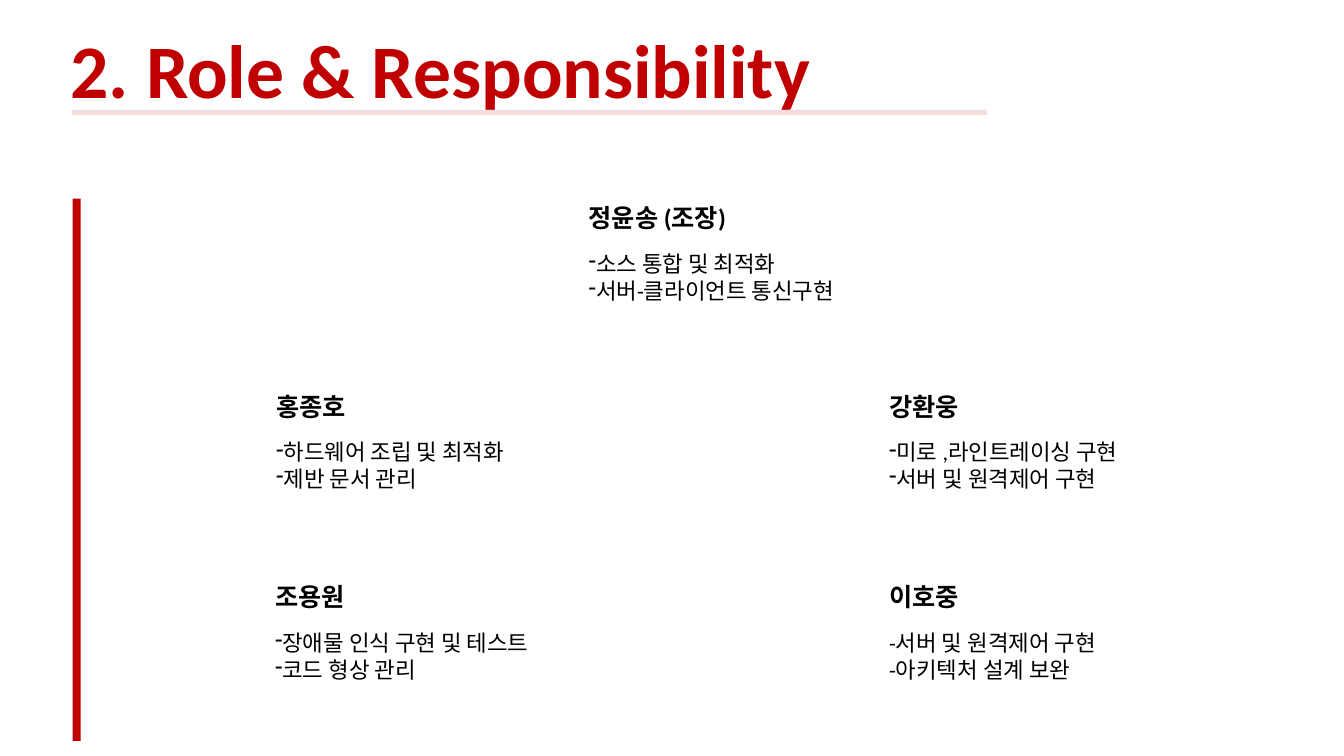
from lxml.etree import SubElement
from pptx import Presentation
from pptx.dml.color import RGBColor
from pptx.enum.shapes import MSO_SHAPE
from pptx.enum.text import MSO_ANCHOR, MSO_AUTO_SIZE, PP_ALIGN
from pptx.oxml.ns import qn
from pptx.util import Inches, Pt

RED = RGBColor(0xC0, 0x00, 0x00)
PINK = RGBColor(0xF2, 0xDE, 0xDE)
BLACK = RGBColor(0x00, 0x00, 0x00)

# name, left, top, heading width, duties width, dash as bullet, duties
MEMBERS = [
    ("정윤송 (조장)", 5.74, 1.96, 3.46, 2.86, True,
     ["소스 통합 및 최적화", "서버-클라이언트 통신구현"]),
    ("조용원", 2.63, 5.72, 3.46, 2.94, True,
     ["장애물 인식 구현 및 테스트", "코드 형상 관리"]),
    ("홍종호", 2.64, 3.83, 3.28, 2.52, True,
     ["하드웨어 조립 및 최적화", "제반 문서 관리"]),
    ("강환웅", 8.72, 3.83, 3.46, 2.67, True,
     ["미로 ,라인트레이싱 구현", "서버 및 원격제어 구현"]),
    ("이호중", 8.72, 5.72, 3.46, 2.44, False,
     ["-서버 및 원격제어 구현", "-아키텍처 설계 보완"]),
]


class RoleSlide:
    font = "Calibri"

    def __init__(self, prs):
        self.slide = prs.slides.add_slide(prs.slide_layouts[5])

    def set_text(self, sp, lines, size, color=BLACK, bold=False, wrap=True, bullet=False):
        tf = sp.text_frame
        tf.text = "\n".join(lines)
        tf.word_wrap = wrap
        tf.auto_size = MSO_AUTO_SIZE.SHAPE_TO_FIT_TEXT
        tf.vertical_anchor = MSO_ANCHOR.TOP
        for p in tf.paragraphs:
            p.alignment = PP_ALIGN.LEFT
            if bullet:
                pPr = p._p.get_or_add_pPr()
                pPr.set("marL", "0")
                pPr.set("indent", "0")
                SubElement(pPr, qn("a:buChar")).set("char", "-")
            for r in p.runs:
                r.font.name = self.font
                r.font.size = Pt(size)
                r.font.bold = bold
                r.font.color.rgb = color

    def title(self, text, left, top, width, height):
        sp = self.slide.shapes.title
        sp.left, sp.top = Inches(left), Inches(top)
        sp.width, sp.height = Inches(width), Inches(height)
        self.set_text(sp, [text], 54, RED, bold=True)

    def bar(self, left, top, width, height, color):
        sp = self.slide.shapes.add_shape(
            MSO_SHAPE.RECTANGLE, Inches(left), Inches(top), Inches(width), Inches(height))
        sp.shadow.inherit = False
        sp.fill.solid()
        sp.fill.fore_color.rgb = color
        sp.line.fill.background()

    def member(self, name, left, top, name_width, duties_width, bullet, duties):
        shapes = self.slide.shapes.add_group_shape().shapes
        heading = shapes.add_textbox(
            Inches(left), Inches(top), Inches(name_width), Inches(0.4))
        self.set_text(heading, [name], 18, bold=True)
        body = shapes.add_textbox(
            Inches(left), Inches(top + 0.47), Inches(duties_width), Inches(0.64))
        self.set_text(body, duties, 16, wrap=False, bullet=bullet)


def main():
    prs = Presentation()
    prs.slide_width, prs.slide_height = Inches(13.33), Inches(7.5)
    s = RoleSlide(prs)
    s.title("2. Role & Responsibility", 0.6, 0.18, 8.46, 1.01)
    for member in MEMBERS:
        s.member(*member)
    s.bar(0.72, 1.97, 0.08, 5.38, RED)
    s.bar(0.71, 1.09, 9.08, 0.05, PINK)
    prs.save("out.pptx")


if __name__ == "__main__":
    main()
